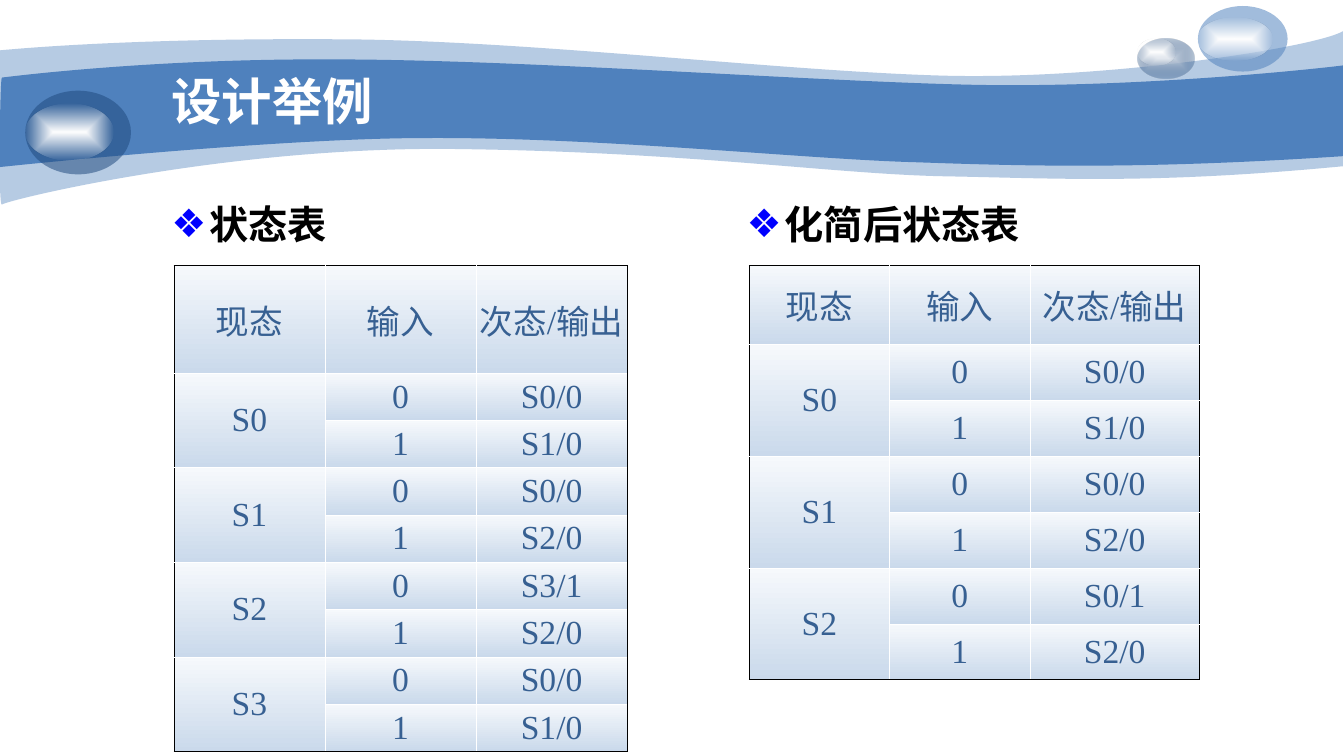
from dataclasses import dataclass

from lxml.etree import SubElement
from pptx import Presentation
from pptx.dml.color import RGBColor
from pptx.enum.shapes import MSO_SHAPE as Preset
from pptx.enum.text import MSO_ANCHOR as Anchor, MSO_AUTO_SIZE as AutoSize, PP_ALIGN as Align
from pptx.oxml.ns import qn
from pptx.util import Inches, Pt


@dataclass(frozen=True)
class Theme:
    font: str = "Times New Roman"
    title_size: int = 36
    heading_size: int = 28
    cell_size: int = 24
    border_width: float = 0.45
    white: str = "FFFFFF"
    black: str = "000000"
    blue: str = "4F81BD"
    navy: str = "1F497D"
    mist: str = "C6D1DE"
    bullet: str = "0000FF"
    cell_text: str = "376092"
    cell_top: str = "F6F9FC"
    cell_bottom: str = "CAD9EB"


THEME = Theme()
GRID_COLUMNS, GRID_ROWS = 133.4, 75
TEXT_COLUMNS = (16, 73.1)
TABLE_INDENT = 1.25
TABLE_TOP = 26.35

# Each wave: start point, then cubic segments of three points or straight ones of one.
PALE_WAVE = [
    (0, 5), [(3.2, 4.7), (14.3, 3.8), (32.9, 3.9)], [(51.4, 3.9), (76.7, 7), (93.2, 7.5)],
    [(109.6, 8), (130.6, 4.7), (133.3, 3.1)], [(133.3, 16.5)],
    [(114.4, 18.3), (105, 17.7), (93.9, 17.5)], [(82.9, 17.3), (68.7, 15.1), (45.8, 14.8)],
    [(22.9, 14.4), (0.5, 19.9), (0.2, 20.3)], [(-0.2, 20.8), (0, 7.5), (0, 5)],
]
BLUE_WAVE = [
    (0.2, 7.7), [(0.3, 7.7), (14.6, 5.8), (33.1, 5.9)], [(51.5, 5.9), (79.4, 8), (95.8, 8.4)],
    [(112.1, 8.8), (130.1, 6.9), (133.3, 6.5)], [(133.3, 15.5)],
    [(113.7, 16.8), (102.1, 16.5), (90.9, 16.1)], [(79.9, 15.8), (59.6, 13.6), (42.3, 13.7)],
    [(27.1, 13.7), (-0.3, 16.6), (-0.2, 16.6)], [(0, 16.6), (0, 7.7), (0.2, 7.7)],
]
STATE_ROWS = [("S0", "S0/0", "S1/0"), ("S1", "S0/0", "S2/0"),
              ("S2", "S3/1", "S2/0"), ("S3", "S0/0", "S1/0")]
REDUCED_ROWS = [("S0", "S0/0", "S1/0"), ("S1", "S0/0", "S2/0"), ("S2", "S0/1", "S2/0")]


def grid(*cells):
    """Turn grid cells of a tenth of an inch into lengths."""
    return [Inches(cell / 10) for cell in cells]


def add_color(parent, color, alpha=100):
    element = SubElement(parent, qn("a:srgbClr"), val=color)
    if alpha < 100:
        SubElement(element, qn("a:alpha"), val=str(alpha * 1000))


def add_solid(parent, color, alpha=100):
    add_color(SubElement(parent, qn("a:solidFill")), color, alpha)


def add_gradient(parent, first, last, radial=False):
    """Add a gradient between two (color, alpha) pairs, downward or from the centre."""
    gradient = SubElement(parent, qn("a:gradFill"), rotWithShape="1")
    stops = SubElement(gradient, qn("a:gsLst"))
    for position, color in (("0", first), ("100000", last)):
        add_color(SubElement(stops, qn("a:gs"), pos=position), *color)
    if radial:
        shade = SubElement(gradient, qn("a:path"), path="rect")
        SubElement(shade, qn("a:fillToRect"), {side: "50000" for side in "ltrb"})
    else:
        SubElement(gradient, qn("a:lin"), ang="5400000", scaled="0")


def finish(shape):
    shape.line.fill.background()
    shape.shadow.inherit = False


def bend(shape, segments):
    """Merge the three straight lines of each cubic segment into one curve."""
    lines = iter(list(shape.element.iter(qn("a:lnTo"))))
    for segment in segments:
        parts = [next(lines) for _ in segment]
        if len(parts) == 3:
            outline = parts[0].getparent()
            curve = SubElement(outline, qn("a:cubicBezTo"))
            parts[0].addprevious(curve)
            for part in parts:
                curve.append(part[0])
                outline.remove(part)


def add_wave(slide, outline, alpha=100):
    start, *segments = outline
    builder = slide.shapes.build_freeform(*grid(*start))
    builder.add_line_segments([grid(*point) for segment in segments for point in segment])
    wave = builder.convert_to_shape()
    bend(wave, segments)
    add_solid(wave.element.spPr, THEME.blue, alpha)
    finish(wave)


def add_bubble(slide, body, shine, fill, *colors):
    """Group an oval with its shine; fill is called with the oval's colors."""
    group = slide.shapes.add_group_shape()
    oval = group.shapes.add_shape(Preset.OVAL, *grid(*body))
    fill(oval.element.spPr, *colors)
    glow = group.shapes.add_shape(Preset.OVAL, *grid(*shine))
    add_gradient(glow.element.spPr, (THEME.white, 100), (THEME.white, 0), radial=True)
    finish(oval)
    finish(glow)


def write(frame, text, *, size, color, bold=False, align=Align.LEFT,
          anchor=Anchor.TOP, bullet=None):
    frame.word_wrap = True
    frame.vertical_anchor = anchor
    paragraph = frame.paragraphs[0]
    paragraph.alignment = align
    paragraph.space_before = Pt(0)
    if bullet:
        properties = paragraph._p.get_or_add_pPr()
        indent = grid(3.8)[0]
        properties.set("marL", str(indent))
        properties.set("indent", str(-indent))
        add_color(SubElement(properties, qn("a:buClr")), THEME.bullet)
        SubElement(properties, qn("a:buChar"), char=bullet)
    run = paragraph.add_run()
    run.text = text
    run.font.name = THEME.font
    run.font.size = Pt(size)
    run.font.bold = bold
    run.font.color.rgb = RGBColor.from_string(color)


def fill_placeholder(slide, placeholder, box, text, **style):
    placeholder.left, placeholder.top, placeholder.width, placeholder.height = grid(*box)
    slide.shapes.element.append(placeholder.element)  # bring in front of the waves
    placeholder.text_frame.auto_size = AutoSize.NONE
    write(placeholder.text_frame, text, bold=True, **style)


def style_cell(cell, outer_sides):
    cell.margin_left, cell.margin_right, cell.margin_top, cell.margin_bottom = grid(
        0.1, 0.1, 0.5, 0.5)
    cell.vertical_anchor = Anchor.MIDDLE
    properties = cell._tc.get_or_add_tcPr()
    for side in "LRTB":
        border = SubElement(properties, qn(f"a:ln{side}"), w=str(Pt(THEME.border_width)))
        add_solid(border, THEME.black if side in outer_sides else THEME.white)
    add_gradient(properties, (THEME.cell_top,), (THEME.cell_bottom,))


def add_state_table(slide, left, states, columns, header_height, row_height):
    lines = [("现态", "输入", "次态/输出")]
    for state, *results in states:
        lines += [(state, "0", results[0]), ("", "1", results[1])]
    heights = [header_height] + [row_height] * (len(lines) - 1)
    table = slide.shapes.add_table(len(lines), len(columns), *grid(
        left, TABLE_TOP, sum(columns), sum(heights))).table
    table.first_row = table.horz_banding = False
    for column, width in zip(table.columns, grid(*columns)):
        column.width = width
    for row, height in zip(table.rows, grid(*heights)):
        row.height = height
    for top in range(1, len(lines), 2):
        table.cell(top, 0).merge(table.cell(top + 1, 0))
    for row, line in enumerate(lines):
        for column, text in enumerate(line):
            cell = table.cell(row, column)
            bottom = row + (cell.span_height if cell.is_merge_origin else 1)
            at_edge = {"L": column == 0, "R": column == len(columns) - 1,
                       "T": row == 0, "B": bottom == len(lines)}
            style_cell(cell, [side for side, outer in at_edge.items() if outer])
            if text:
                write(cell.text_frame, text, size=THEME.cell_size, color=THEME.cell_text,
                      align=Align.CENTER, anchor=Anchor.MIDDLE)


def main():
    presentation = Presentation()
    presentation.slide_width, presentation.slide_height = grid(GRID_COLUMNS, GRID_ROWS)
    slide = presentation.slides.add_slide(presentation.slide_layouts[3])
    title, *bodies = slide.placeholders

    add_wave(slide, PALE_WAVE, 41)
    add_wave(slide, BLUE_WAVE)
    add_bubble(slide, (112.9, 3.8, 5.7, 4), (112.9, 3.8, 3.8, 2.7),
               add_gradient, (THEME.mist, 100), (THEME.navy, 31), True)
    add_bubble(slide, (118.9, 0.6, 8.9, 6.5), (118.9, 1.7, 7.4, 4.3), add_solid, THEME.blue, 53)
    add_bubble(slide, (2.5, 9, 10.5, 8.3), (2.5, 10.3, 8.8, 5.6), add_solid, THEME.navy, 53)

    fill_placeholder(slide, title, (TEXT_COLUMNS[0], 6.8, 57.1, 6.3), "设计举例",
                     size=THEME.title_size, color=THEME.white, anchor=Anchor.MIDDLE)
    for body, left, heading in zip(bodies, TEXT_COLUMNS, ("状态表", "化简后状态表")):
        fill_placeholder(slide, body, (left, 19.4, 40.4, 49.2), heading,
                         size=THEME.heading_size, color=THEME.black, bullet="❖")

    add_state_table(slide, TEXT_COLUMNS[0] + TABLE_INDENT, STATE_ROWS, (15, 15, 15), 8.1, 4.1)
    add_state_table(slide, TEXT_COLUMNS[1] + TABLE_INDENT, REDUCED_ROWS,
                    (13.95, 13.95, 16.8), 7.85, 5.54)
    presentation.save("out.pptx")


if __name__ == "__main__":
    main()
